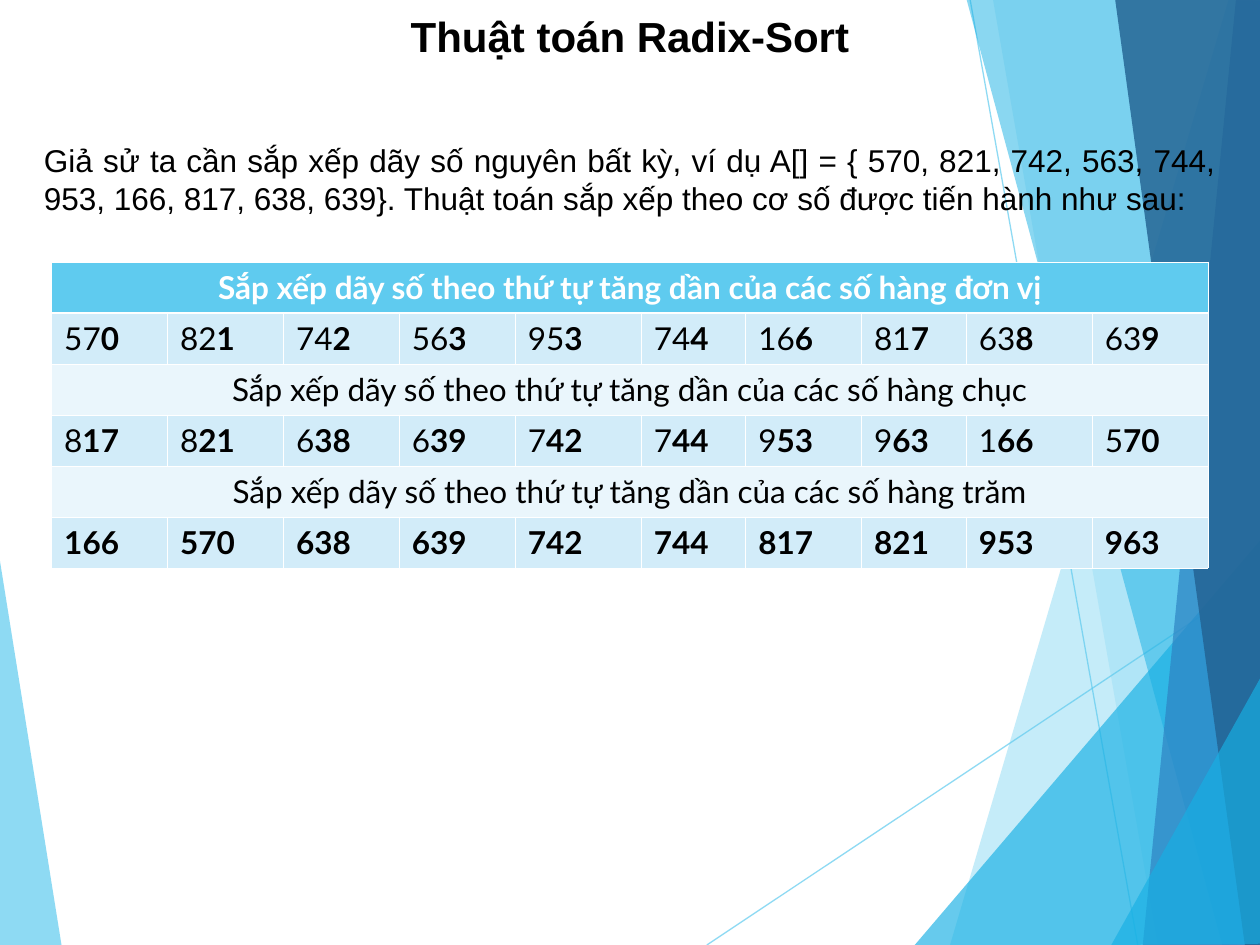
from dataclasses import dataclass

from lxml.etree import SubElement
from pptx import Presentation
from pptx.dml.color import RGBColor
from pptx.enum.shapes import MSO_CONNECTOR
from pptx.enum.text import MSO_ANCHOR, PP_ALIGN as Align
from pptx.oxml.ns import qn
from pptx.util import Inches, Pt


@dataclass(frozen=True)
class Theme:
    sky: str = "5FCBEF"
    cyan: str = "17B0E4"
    blue: str = "2E83C3"
    navy: str = "236292"
    band: str = "EAF6FC"
    numbers: str = "D2ECF9"
    white: str = "FFFFFF"
    black: str = "000000"
    text_font: str = "Arial"
    table_font: str = "Lato"
    title_size: int = 24
    body_size: int = 18


THEME = Theme()

# Background facets: colour, opacity in percent, corner points
FACETS = [
    (THEME.sky, 70, [(-0.01, 4.39), (0.49, 7.51), (-0.01, 7.5)]),
    (THEME.sky, 36, [(9.75, 0), (7.54, 7.5), (10.02, 7.51), (10.01, 0.01)]),
    (THEME.sky, 20, [(7.88, -0.01), (9.19, 7.5), (10.01, 7.5), (10.01, -0.01)]),
    (THEME.cyan, 66, [(7.26, 7.5), (10, 4.29), (10.01, 7.5)]),
    (THEME.cyan, 50, [(7.67, -0.01), (9.7, 7.5), (10.01, 7.49), (10.01, -0.01)]),
    (THEME.blue, 70, [(9.81, -0.01), (9.07, 7.5), (10.01, 7.5), (10, -0.01)]),
    (THEME.navy, 82, [(8.85, -0.01), (9.88, 7.5), (10.02, 7.5), (10, -0.01)]),
    (THEME.cyan, 66, [(8.82, 7.5), (10.02, 5.35), (10.02, 7.49)]),
]
RAYS = [((5.61, 7.5), (10.01, 4.57)), ((7.7, 0), (9.03, 7.5))]
RAY_OPACITY = 70

TITLE = "Thuật toán Radix-Sort"
INTRO = (
    "Giả sử ta cần sắp xếp dãy số nguyên bất kỳ, ví dụ A[] = { 570, 821, 742, "
    "563, 744, 953, 166, 817, 638, 639}. Thuật toán sắp xếp theo cơ số được "
    "tiến hành như sau:"
)
PASS_HEADING = "Sắp xếp dãy số theo thứ tự tăng dần của các số hàng "
# Each pass: digit place, numbers after it; pass n highlights the last n digits
PASSES = [
    ("đơn vị", "570 821 742 563 953 744 166 817 638 639"),
    ("chục", "817 821 638 639 742 744 953 963 166 570"),
    ("trăm", "166 570 638 639 742 744 817 821 953 963"),
]
COLUMN_WIDTHS = [0.92, 0.92, 0.92, 0.92, 1, 0.83, 0.92, 0.83, 1, 0.92]


def set_opacity(element, percent):
    color = next(element.iter(qn("a:srgbClr")))
    SubElement(color, qn("a:alpha"), val=str(percent * 1000))


def style_font(font, name, size, color=THEME.black, bold=False):
    font.name, font.size, font.bold = name, Pt(size), bold
    font.color.rgb = RGBColor.from_string(color)


def add_facet(slide, color, opacity, corners):
    start, *others = [(Inches(x), Inches(y)) for x, y in corners]
    outline = slide.shapes.build_freeform(*start)
    outline.add_line_segments(others, close=True)
    facet = outline.convert_to_shape()
    facet.shadow.inherit = False
    facet.fill.solid()
    facet.fill.fore_color.rgb = RGBColor.from_string(color)
    set_opacity(facet.fill._xPr, opacity)
    facet.line.fill.background()


def add_ray(slide, start, end):
    ray = slide.shapes.add_connector(
        MSO_CONNECTOR.STRAIGHT, *(Inches(v) for v in (*start, *end)))
    ray.line.width = Pt(0.75)
    ray.line.color.rgb = RGBColor.from_string(THEME.sky)
    properties = ray._element.spPr
    set_opacity(properties, RAY_OPACITY)
    SubElement(properties, qn("a:effectLst"))


def write_text(shape, text, align, size, bold=False):
    frame = shape.text_frame
    frame.text = text
    frame.word_wrap = True
    frame.vertical_anchor = MSO_ANCHOR.TOP
    paragraph = frame.paragraphs[0]
    paragraph.alignment = align
    style_font(paragraph.runs[0].font, THEME.text_font, size, bold=bold)


def add_title(slide):
    title = slide.shapes.title
    title.left, title.top = Inches(0.25), Inches(0.03)
    title.width, title.height = Inches(9.5), Inches(0.5)
    write_text(title, TITLE, Align.CENTER, THEME.title_size, bold=True)


def add_intro(slide):
    intro = slide.shapes.add_textbox(
        Inches(0.25), Inches(1.07), Inches(9.5), Inches(0.69))
    write_text(intro, INTRO, Align.JUSTIFY, THEME.body_size)


def style_cell(cell, fill, top=0.45, bottom=0.45):
    # Borders come before the fill in the cell properties
    properties = cell._tc.get_or_add_tcPr()
    for side, width in (("L", 0.45), ("R", 0.45), ("T", top), ("B", bottom)):
        border = SubElement(properties, qn(f"a:ln{side}"), w=str(Pt(width)))
        SubElement(SubElement(border, qn("a:solidFill")), qn("a:srgbClr"),
                   val=THEME.white)
    cell.fill.solid()
    cell.fill.fore_color.rgb = RGBColor.from_string(fill)


def add_run(cell, text, color=THEME.black, bold=False):
    run = cell.text_frame.paragraphs[0].add_run()
    run.text = text
    style_font(run.font, THEME.table_font, THEME.body_size, color, bold)


def fill_heading(cells, place, is_header):
    for cell in cells:
        style_cell(cell, THEME.sky if is_header else THEME.band,
                   bottom=1.47 if is_header else 0.45)
    cells[0].merge(cells[-1])
    add_run(cells[0], PASS_HEADING + place,
            THEME.white if is_header else THEME.black, is_header)
    cells[0].text_frame.paragraphs[0].alignment = Align.CENTER


def fill_numbers(cells, numbers, sorted_digits):
    for cell, number in zip(cells, numbers):
        style_cell(cell, THEME.numbers, top=1.47 if sorted_digits == 1 else 0.45)
        pending, done = number[:-sorted_digits], number[-sorted_digits:]
        if pending:
            add_run(cell, pending)
        add_run(cell, done, bold=True)


def add_passes_table(slide):
    table = slide.shapes.add_table(
        2 * len(PASSES), len(COLUMN_WIDTHS), Inches(0.41), Inches(2.08),
        Inches(9.17), Inches(2.43)).table
    for column, width in zip(table.columns, COLUMN_WIDTHS):
        column.width = Inches(width)
    rows = [list(row.cells) for row in table.rows]
    for index, (place, numbers) in enumerate(PASSES):
        fill_heading(rows[2 * index], place, is_header=index == 0)
        fill_numbers(rows[2 * index + 1], numbers.split(), index + 1)


def main():
    deck = Presentation()
    deck.slide_width, deck.slide_height = Inches(10), Inches(7.5)
    slide = deck.slides.add_slide(deck.slide_layouts[5])

    # Background: the rays lie just above the left facet
    left_facet, *right_facets = FACETS
    add_facet(slide, *left_facet)
    for start, end in RAYS:
        add_ray(slide, start, end)
    for facet in right_facets:
        add_facet(slide, *facet)

    # Content
    add_title(slide)
    add_intro(slide)
    add_passes_table(slide)
    deck.save("out.pptx")


if __name__ == "__main__":
    main()
